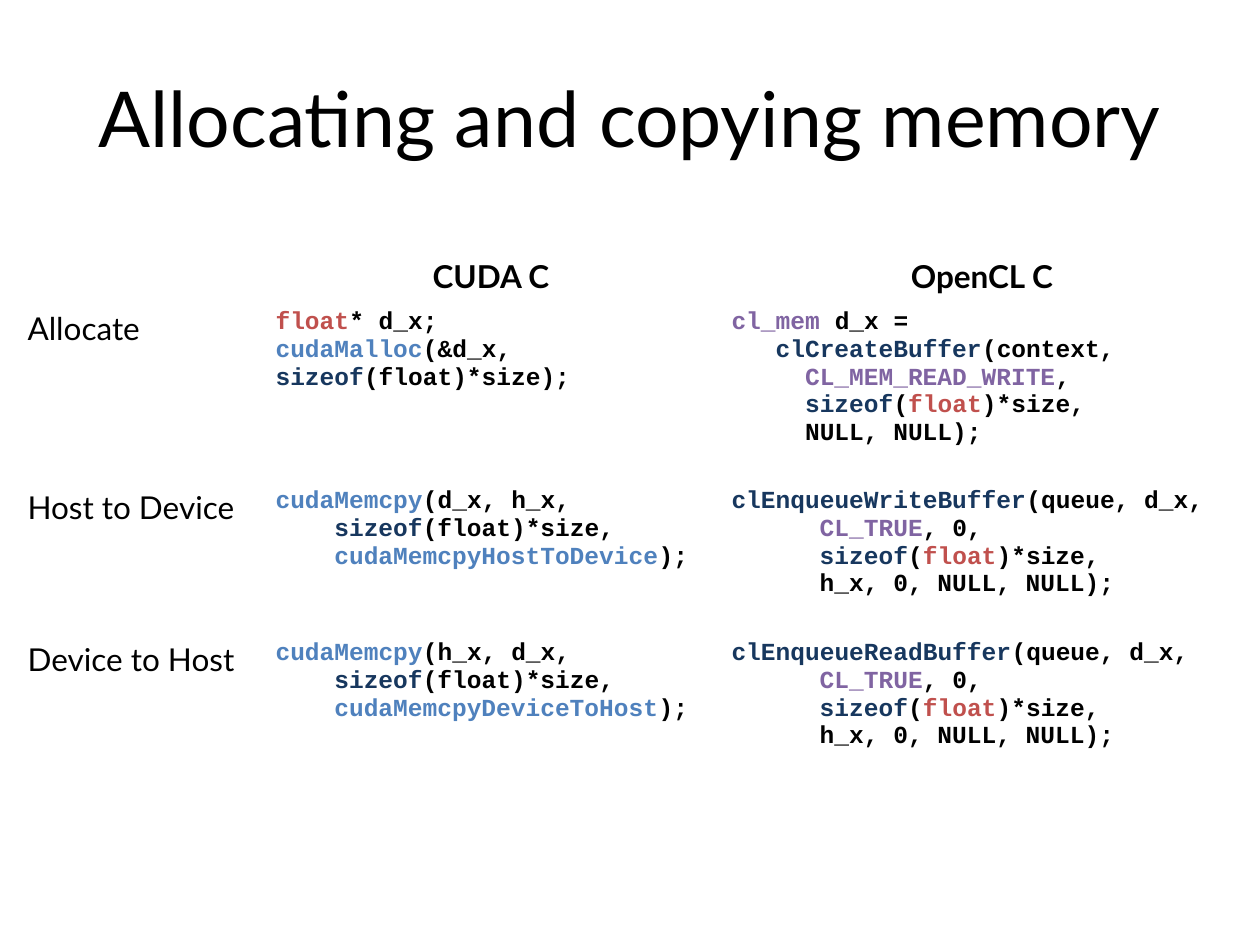
from pptx import Presentation
from pptx.dml.color import RGBColor
from pptx.enum.text import MSO_ANCHOR, PP_ALIGN
from pptx.util import Emu, Pt

BLACK = RGBColor(0, 0, 0)
RED = RGBColor(0xC0, 0x50, 0x4D)
BLUE = RGBColor(0x4F, 0x81, 0xBD)
NAVY = RGBColor(0x17, 0x37, 0x5E)
PURPLE = RGBColor(0x80, 0x64, 0xA2)

PX = 914400 // 126
CODE_SIZE = 14
CODE_ADVANCE = 0.6 * CODE_SIZE


def cuda_copy(target, source, direction):
    return [
        (0, [("cudaMemcpy", BLUE), (f"({target}, {source},", BLACK)]),
        (4, [("sizeof", NAVY), ("(float)*size,", BLACK)]),
        (4, [(f"cudaMemcpy{direction}", BLUE), (");", BLACK)]),
    ]


def opencl_size(indent):
    return indent, [("sizeof", NAVY), ("(", BLACK), ("float", RED), (")*size,", BLACK)]


def opencl_copy(action):
    return [
        (0, [(f"clEnqueue{action}Buffer", NAVY), ("(queue, d_x,", BLACK)]),
        (6, [("CL_TRUE", PURPLE), (", 0,", BLACK)]),
        opencl_size(6),
        (6, [("h_x, 0, NULL, NULL);", BLACK)]),
    ]


TITLE = "Allocating and copying memory"
HEADINGS = ["", "CUDA C", "OpenCL C"]
CUDA_ALLOCATE = [
    (0, [("float", RED), ("* d_x;", BLACK)]),
    (0, [("cudaMalloc", BLUE), ("(&d_x, ", BLACK), ("sizeof", NAVY), ("(float)*size);", BLACK)]),
]
OPENCL_ALLOCATE = [
    (0, [("cl_mem ", PURPLE), ("d_x =", BLACK)]),
    (3, [("clCreateBuffer", NAVY), ("(context,", BLACK)]),
    (5, [("CL_MEM_READ_WRITE", PURPLE), (",", BLACK)]),
    opencl_size(5),
    (5, [("NULL, NULL);", BLACK)]),
]
OPERATIONS = [
    ("Allocate", CUDA_ALLOCATE, OPENCL_ALLOCATE),
    ("Host to Device", cuda_copy("d_x", "h_x", "HostToDevice"), opencl_copy("Write")),
    ("Device to Host", cuda_copy("h_x", "d_x", "DeviceToHost"), opencl_copy("Read")),
]
COLUMN_WIDTHS = [248, 456, 526]
ROW_HEIGHTS = [52, 179, 152, 152]


def write_lines(frame, lines, size=18, font="Lato", bold=False, align=PP_ALIGN.LEFT):
    for index, (indent, spans) in enumerate(lines):
        para = frame.add_paragraph() if index else frame.paragraphs[0]
        para.alignment = align
        if indent:
            properties = para._p.get_or_add_pPr()
            properties.set("marL", str(Pt(indent * CODE_ADVANCE)))
            properties.set("indent", "0")
        for text, colour in spans:
            span = para.add_run()
            span.text = text
            span.font.size = Pt(size)
            span.font.name = font
            span.font.bold = bold
            span.font.color.rgb = colour


def plain(text):
    return [(0, [(text, BLACK)])]


def add_title(page):
    box = page.shapes.add_textbox(*(Emu(n * PX) for n in (63, 38, 1134, 158)))
    box.text_frame.word_wrap = True
    box.text_frame.vertical_anchor = MSO_ANCHOR.MIDDLE
    write_lines(box.text_frame, plain(TITLE), size=44, align=PP_ALIGN.CENTER)


def add_comparison(page):
    bounds = (15, 251, sum(COLUMN_WIDTHS), sum(ROW_HEIGHTS))
    table = page.shapes.add_table(
        len(ROW_HEIGHTS), len(COLUMN_WIDTHS), *(Emu(n * PX) for n in bounds)
    ).table
    table.first_row = False
    table.horz_banding = False
    for column, width in zip(table.columns, COLUMN_WIDTHS):
        column.width = Emu(width * PX)
    for row, height in zip(table.rows, ROW_HEIGHTS):
        row.height = Emu(height * PX)
    for cell in table.iter_cells():
        cell.fill.background()
    for column, heading in enumerate(HEADINGS):
        if heading:
            frame = table.cell(0, column).text_frame
            write_lines(frame, plain(heading), bold=True, align=PP_ALIGN.CENTER)
    for row, (label, *listings) in enumerate(OPERATIONS, 1):
        write_lines(table.cell(row, 0).text_frame, plain(label))
        for column, listing in enumerate(listings, 1):
            frame = table.cell(row, column).text_frame
            write_lines(frame, listing, size=CODE_SIZE, font="Courier New", bold=True)


def main():
    deck = Presentation()
    deck.slide_width = Emu(1260 * PX)
    deck.slide_height = Emu(945 * PX)
    page = deck.slides.add_slide(deck.slide_layouts[6])
    add_title(page)
    add_comparison(page)
    deck.save("out.pptx")


if __name__ == "__main__":
    main()
